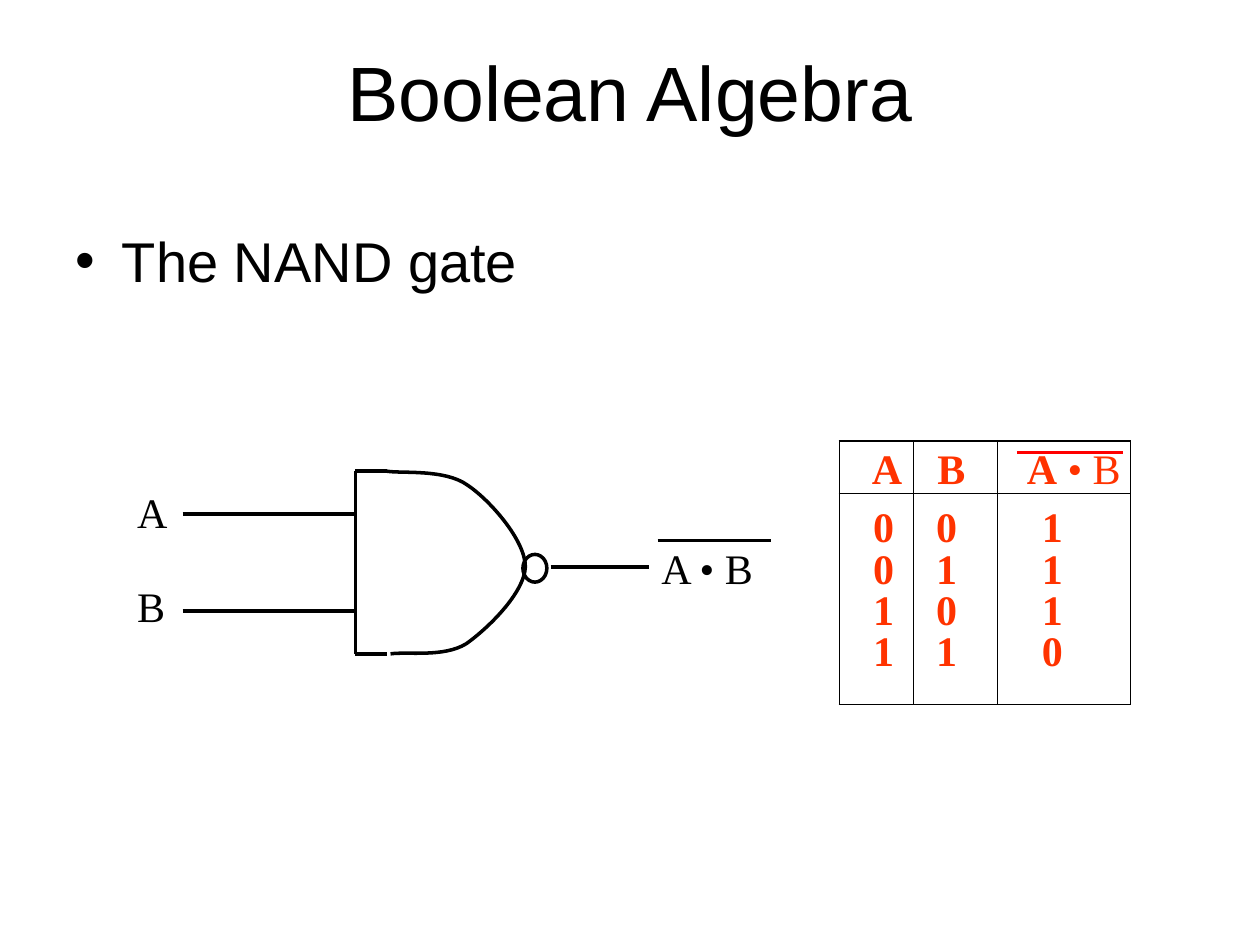
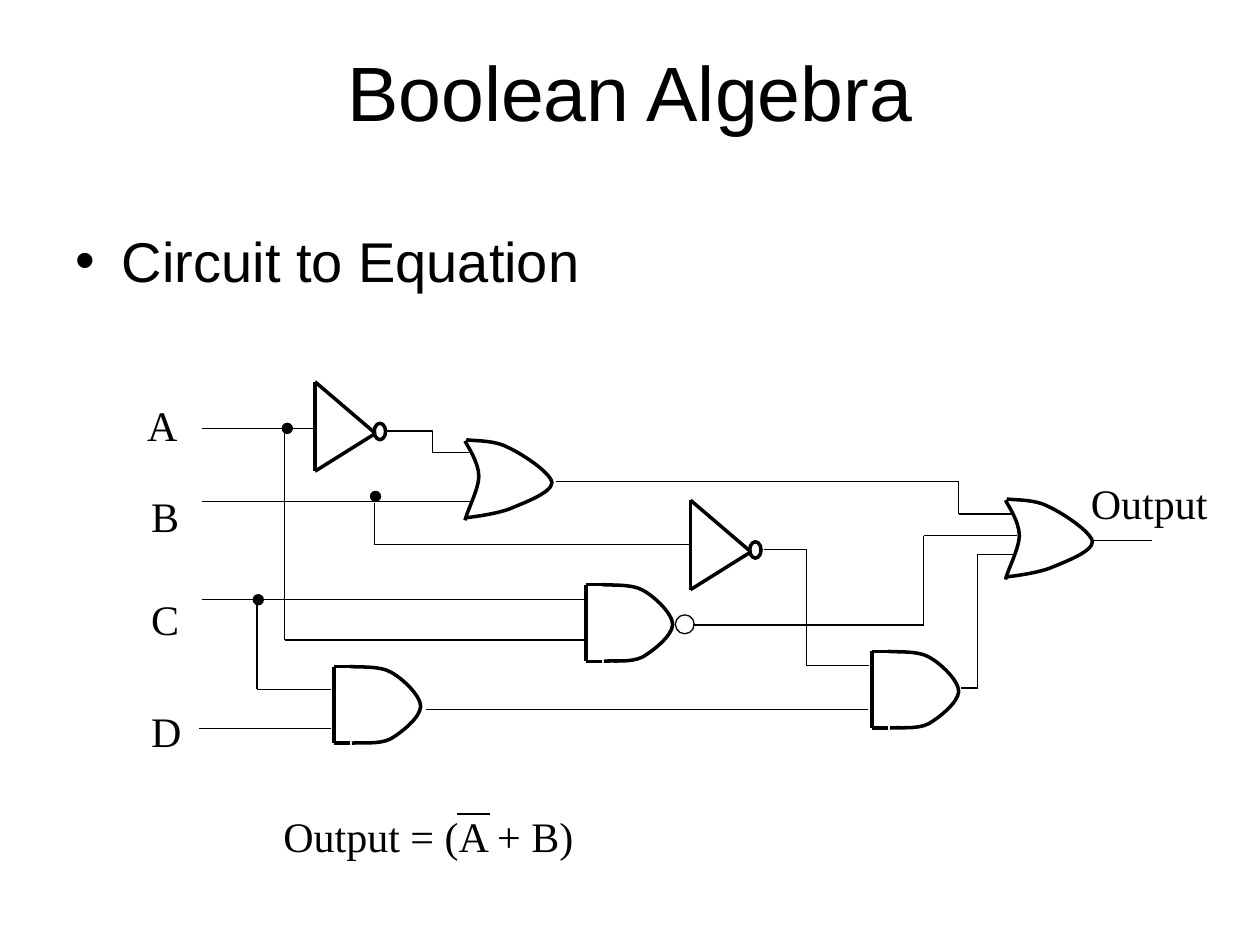
from lxml import etree
from pptx import Presentation
from pptx.dml.color import RGBColor
from pptx.enum.shapes import MSO_CONNECTOR, MSO_SHAPE
from pptx.enum.text import MSO_ANCHOR, PP_ALIGN
from pptx.oxml.ns import qn
from pptx.util import Cm, Pt

STRAIGHT, OVAL = MSO_CONNECTOR.STRAIGHT, MSO_SHAPE.OVAL
TOP, MIDDLE, BOTTOM = MSO_ANCHOR.TOP, MSO_ANCHOR.MIDDLE, MSO_ANCHOR.BOTTOM
CENTER = PP_ALIGN.CENTER

BLACK = RGBColor(0x00, 0x00, 0x00)
RED = RGBColor(0xFF, 0x00, 0x00)
ORANGE = RGBColor(0xFF, 0x33, 0x00)

THICK, THIN = 2, 0.75
TITLE_FONT = {"name": "Arial", "size": Pt(44)}
BULLET_FONT = {"name": "Arial", "size": Pt(32)}
LABEL_FONT = {"name": "Times New Roman", "size": Pt(24)}

# Gate outlines, relative to the top left corner: a start, then Bezier triples
AND_CURVE = [(0.25, 0), (0.36, 0.02), (0.71, -0.02), (0.89, 0.11),
             (1.07, 0.23), (1.35, 0.55), (1.35, 0.76),
             (1.34, 0.97), (1.05, 1.25), (0.88, 1.37),
             (0.7, 1.48), (0.41, 1.43), (0.28, 1.45)]
OR_BACK = [(0, 0), (0.02, 0.04), (0.11, 0.17), (0.11, 0.28),
           (0.11, 0.38), (0.02, 0.55), (0, 0.63)]
OR_FRONT = [(0.01, -0.01), (0.06, 0), (0.23, -0.01), (0.34, 0.05),
            (0.45, 0.1), (0.68, 0.25), (0.69, 0.33),
            (0.69, 0.41), (0.47, 0.49), (0.35, 0.54),
            (0.24, 0.58), (0.08, 0.6), (0, 0.61)]
SMALL_AND = (0.51, 0.42)

# Truth table
TRUTH_ROWS = [("0", "0", "1"), ("0", "1", "1"), ("1", "0", "1"), ("1", "1", "0")]
COLUMN_WIDTHS = (0.59, 0.67, 1.05)
ROW_HEIGHTS = (0.42, 0.46, 0.33, 0.33, 0.55)
HEADER_INDENTS = (0.26, 0.19, 0.23)
DIGIT_INDENTS = (0.27, 0.18, 0.35)

# Wires of the circuit, each a run of corner points
CIRCUIT_WIRES = [
    [(1.6, 3.4), (2.49, 3.4)],
    [(1.6, 3.98), (3.73, 3.98)],
    [(1.6, 4.76), (4.67, 4.76)],
    [(1.58, 5.78), (2.63, 5.78)],
    [(2.26, 3.4), (2.26, 5.08), (4.65, 5.08)],
    [(2.97, 3.99), (2.97, 4.32), (5.49, 4.32)],
    [(2.04, 4.76), (2.04, 5.47), (2.63, 5.47)],
    [(3.38, 5.63), (6.89, 5.63)],
    [(4.41, 3.82), (7.61, 3.82), (7.61, 4.08), (8.04, 4.08)],
    [(6.06, 4.36), (6.4, 4.36), (6.4, 5.28), (6.9, 5.28)],
    [(5.5, 4.96), (7.33, 4.96), (7.33, 4.25), (8.07, 4.25)],
    [(7.63, 5.46), (7.76, 5.46), (7.76, 4.4), (8.06, 4.4)],
    [(8.68, 4.29), (9.14, 4.29)],
]
STEP_WIRE = [(0, 0), (0.36, 0), (0.36, 0.17), (0.65, 0.17)]


def inch(value):
    return Cm(value * 2.54)


def apply(target, values):
    for name, value in values.items():
        setattr(target, name, value)


def write(para, text, font, color=BLACK, bold=False):
    span = para.add_run()
    span.text = text
    apply(span.font, {**font, "bold": bold})
    span.font.color.rgb = color


def add_text(slide, text, left, top, width, height, font=LABEL_FONT):
    box = slide.shapes.add_textbox(*map(inch, (left, top, width, height)))
    box.text_frame.word_wrap = True
    para = box.text_frame.paragraphs[0]
    write(para, text, font)
    return para


def add_bullet(slide, text):
    para = add_text(slide, text, 0.5, 1.75, 9, 4.95, BULLET_FONT)
    properties = para._p.get_or_add_pPr()
    properties.set("marL", str(inch(0.37)))
    properties.set("indent", str(-inch(0.37)))
    etree.SubElement(properties, qn("a:buFont"), typeface="Arial")
    etree.SubElement(properties, qn("a:buChar"), char="•")


def add_topic_slide(deck, topic):
    slide = deck.slides.add_slide(deck.slide_layouts[5])
    title = slide.shapes.title
    apply(title, {"left": inch(0.5), "top": inch(0.3),
                  "width": inch(9), "height": inch(1.03)})
    apply(title.text_frame, {"vertical_anchor": MIDDLE, "margin_bottom": inch(0.24)})
    para = title.text_frame.paragraphs[0]
    para.alignment = CENTER
    write(para, "Boolean Algebra", TITLE_FONT)
    add_bullet(slide, topic)
    return slide


def set_line(shape, width, color=BLACK):
    shape.line.color.rgb = color
    shape.line.width = Pt(width)


def add_wire(slide, points, width=THIN, color=BLACK):
    for start, end in zip(points, points[1:]):
        wire = slide.shapes.add_connector(STRAIGHT, *map(inch, (*start, *end)))
        set_line(wire, width, color)
        etree.SubElement(wire._element.spPr, qn("a:effectLst"))


def add_circle(slide, left, top, width, height, line_width, filled=False):
    circle = slide.shapes.add_shape(OVAL, *map(inch, (left, top, width, height)))
    circle.shadow.inherit = False
    if filled:
        circle.fill.solid()
        circle.fill.fore_color.rgb = BLACK
    else:
        circle.fill.background()
    set_line(circle, line_width)


def add_outline(slide, points, left, top, scale=(1, 1), width=THICK):
    corners = [(inch(left + x * scale[0]), inch(top + y * scale[1]))
               for x, y in points]
    builder = slide.shapes.build_freeform(*corners[0])
    builder.add_line_segments(corners[1:], close=False)
    outline = builder.convert_to_shape()
    outline.shadow.inherit = False
    outline.fill.background()
    set_line(outline, width)
    return outline


def add_curve(slide, curve, left, top, scale=(1, 1)):
    outline = add_outline(slide, curve, left, top, scale)
    # Each three straight segments become one Bezier segment
    segments = list(outline._element.iter(qn("a:lnTo")))
    for first in range(0, len(segments), 3):
        bend = etree.Element(qn("a:cubicBezTo"))
        segments[first].addprevious(bend)
        for segment in segments[first:first + 3]:
            bend.append(segment[0])
            segment.getparent().remove(segment)


def add_and_gate(slide, left, top, scale=SMALL_AND):
    edge, bottom = left + 0.25 * scale[0], top + 1.45 * scale[1]
    add_wire(slide, [(edge, top), (left, top), (left, bottom), (edge, bottom)], THICK)
    add_curve(slide, AND_CURVE, left, top, scale)


def add_or_gate(slide, left, top):
    add_curve(slide, OR_BACK, left, top)
    add_curve(slide, OR_FRONT, left, top)


def add_not_gate(slide, left, top):
    tip = (left + 0.48, top + 0.41)
    add_wire(slide, [tip, (left, top + 0.71), (left, top), tip], THICK)
    add_circle(slide, left + 0.47, top + 0.33, 0.09, 0.13, THICK)


def set_borders(cell, visible_sides):
    properties = cell._tc.get_or_add_tcPr()
    for index, side in enumerate("LRTB"):
        border = etree.Element(qn(f"a:ln{side}"), w=str(Pt(THIN)))
        if side in visible_sides:
            fill = etree.SubElement(border, qn("a:solidFill"))
            etree.SubElement(fill, qn("a:srgbClr"), val=str(BLACK))
        else:
            etree.SubElement(border, qn("a:noFill"))
        properties.insert(index, border)


def add_truth_table(slide, left, top):
    rows = [("A", "B", "A • B"), *TRUTH_ROWS]
    last = len(rows) - 1
    frame = slide.shapes.add_table(
        len(rows), len(COLUMN_WIDTHS), inch(left), inch(top),
        inch(sum(COLUMN_WIDTHS)), inch(sum(ROW_HEIGHTS)))
    table = frame.table
    apply(table, {"first_row": False, "horz_banding": False})
    for column, width in zip(table.columns, COLUMN_WIDTHS):
        column.width = inch(width)
    for row, (height, values) in enumerate(zip(ROW_HEIGHTS, rows)):
        table.rows[row].height = inch(height)
        indents = DIGIT_INDENTS if row else HEADER_INDENTS
        sides = "LR" + "T" * (row < 2) + "B" * (row in (0, last))
        for column, (indent, value) in enumerate(zip(indents, values)):
            cell = table.cell(row, column)
            apply(cell, {"margin_left": inch(indent), "margin_right": 0,
                         "margin_top": 0, "margin_bottom": 0,
                         "vertical_anchor": TOP if row == last else BOTTOM})
            cell.fill.background()
            set_borders(cell, sides)
            para = cell.text_frame.paragraphs[0]
            para.line_spacing = Pt(23)
            write(para, value[:1], LABEL_FONT, ORANGE, bold=True)
            if value[1:]:
                write(para, value[1:], LABEL_FONT, ORANGE)


def build_nand_slide(deck):
    slide = add_topic_slide(deck, "The NAND gate")
    # Gate with its inputs and output
    for name, label_top, wire_y in (("A", 3.81, 4.08), ("B", 4.56, 4.85)):
        add_text(slide, name, 0.99, label_top, 1.42, 0.5)
        add_wire(slide, [(1.45, wire_y), (2.82, wire_y)], THICK)
    add_and_gate(slide, 2.82, 3.74, (1, 1))
    add_circle(slide, 4.15, 4.4, 0.19, 0.22, THICK)
    add_wire(slide, [(4.37, 4.5), (5.15, 4.5)], THICK)
    add_text(slide, "A • B", 5.15, 4.26, 1, 0.5)
    add_wire(slide, [(5.22, 4.29), (6.12, 4.29)], THICK)
    # Truth table with the negation bar
    add_truth_table(slide, 6.66, 3.5)
    add_wire(slide, [(8.07, 3.59), (8.91, 3.59)], THICK, RED)


def build_circuit_slide(deck):
    slide = add_topic_slide(deck, "Circuit to Equation")
    # Inputs and output
    for name, left, top in (("A", 1.07, 3.12), ("B", 1.1, 3.84),
                            ("C", 1.1, 4.66), ("D", 1.1, 5.55)):
        add_text(slide, name, left, top, 0.62, 0.5)
    add_text(slide, "Output", 8.56, 3.74, 1.44, 0.5)
    # Gates
    for corner in ((2.5, 3.03), (5.48, 3.97)):
        add_not_gate(slide, *corner)
    for corner in ((3.69, 3.5), (7.98, 3.97)):
        add_or_gate(slide, *corner)
    for corner in ((2.65, 5.29), (4.65, 4.64), (6.92, 5.17)):
        add_and_gate(slide, *corner)
    add_circle(slide, 5.36, 4.88, 0.15, 0.15, THIN)
    # Wires and junctions
    for points in CIRCUIT_WIRES:
        add_wire(slide, points)
    add_outline(slide, STEP_WIRE, 3.07, 3.42, width=THIN)
    for left, top in ((2.94, 3.9), (2.01, 4.72), (2.24, 3.36)):
        add_circle(slide, left, top, 0.08, 0.08, THIN, filled=True)
    # Equation with the bar over A
    add_text(slide, "Output = (A + B)", 2.15, 6.38, 7.85, 0.5)
    add_wire(slide, [(3.63, 6.46), (3.89, 6.46)])


def main():
    deck = Presentation()
    apply(deck, {"slide_width": inch(10), "slide_height": inch(7.5)})
    build_nand_slide(deck)
    build_circuit_slide(deck)
    deck.save("out.pptx")


if __name__ == "__main__":
    main()
